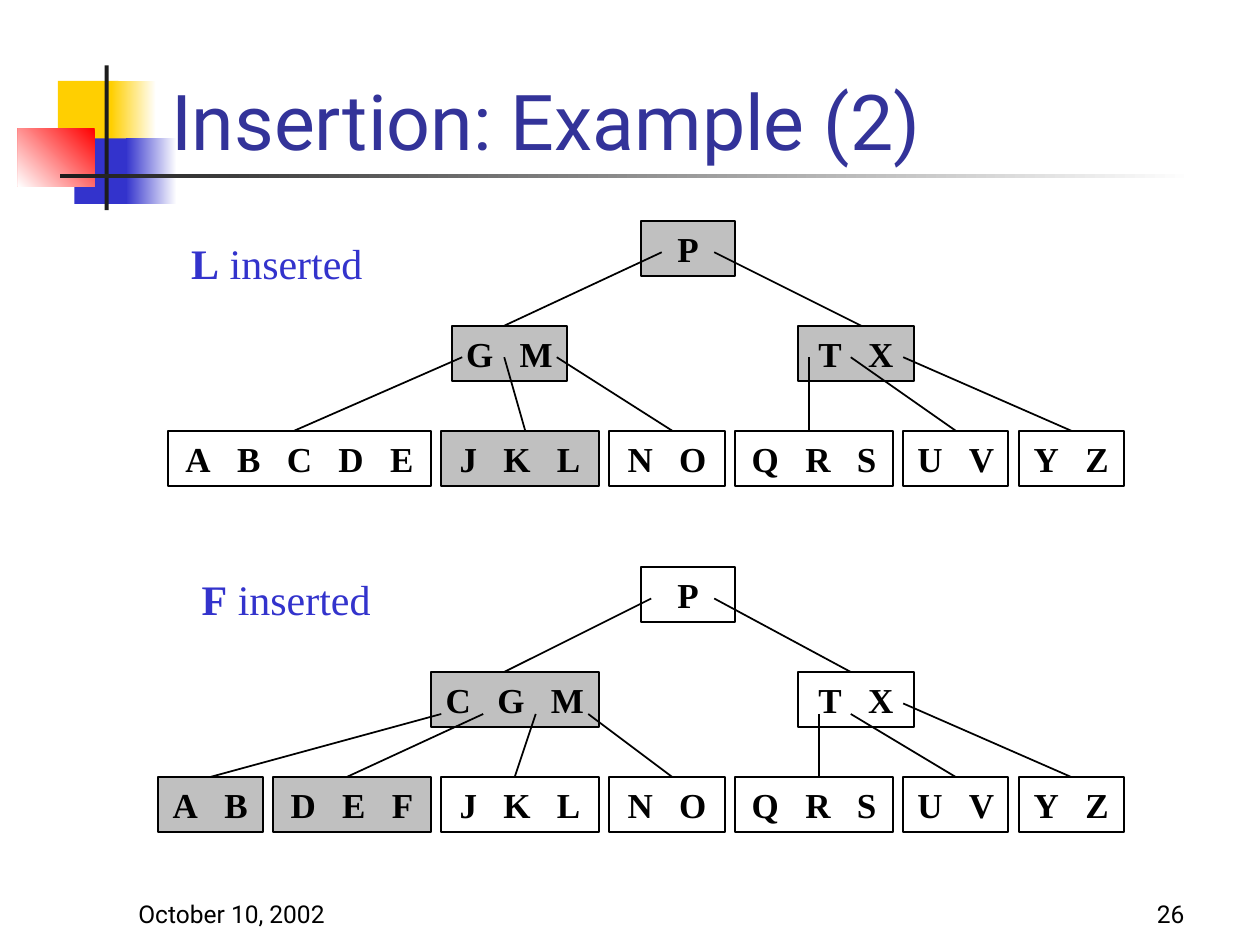
from dataclasses import dataclass

from lxml.etree import SubElement
from pptx import Presentation
from pptx.dml.color import RGBColor as Rgb
from pptx.enum.shapes import MSO_CONNECTOR as Connector, MSO_SHAPE as Shape
from pptx.enum.text import MSO_ANCHOR as Anchor, PP_ALIGN as Align
from pptx.oxml.ns import qn
from pptx.util import Cm, Pt

GRID = 2.54 / 12
NODE_HEIGHT = 5.25
LEVEL_STEP = 10


@dataclass(frozen=True)
class Theme:
    """Colours, fonts and type sizes of the deck."""
    yellow: str = "FFCF01"
    blue: str = "3333CC"
    red: str = "FF0000"
    dark: str = "1C1C1C"
    white: str = "FFFFFF"
    black: str = "000000"
    gray: str = "C0C0C0"
    title: str = "333399"
    sans: str = "Roboto"
    serif: str = "Times New Roman"
    title_size: int = 44
    label_size: int = 24
    key_size: int = 20
    footer_size: int = 14
    key_gap: int = 10


@dataclass(frozen=True)
class Box:
    """A region in centimetres."""
    left: float
    top: float
    width: float
    height: float

    def inner(self, left, top, width, height):
        """Return a box placed relative to this one."""
        return Box(self.left + left, self.top + top, width, height)

    def cell(self, column, row, width, height):
        """Return a box placed relative to this one in grid units."""
        return self.inner(*(GRID * units for units in (column, row, width, height)))

    def lengths(self):
        """Return the four lengths for python-pptx."""
        return [Cm(value) for value in (self.left, self.top, self.width, self.height)]


@dataclass(frozen=True)
class Node:
    """A tree node, with the link (start column, start row, end column) to its parent."""
    keys: str
    column: float
    width: float
    link: tuple = ()
    shaded: bool = False


THEME = Theme()


def add_span(para, text, size, font, color, bold=False):
    """Add one styled run."""
    span = para.add_run()
    span.text = text
    span.font.size, span.font.name, span.font.bold = Pt(size), font, bold
    span.font.color.rgb = Rgb.from_string(color)
    return span


def add_text(page, box, anchor=Anchor.TOP, align=Align.LEFT):
    """Add a wrapping text box and return its paragraph."""
    frame = page.shapes.add_textbox(*box.lengths()).text_frame
    frame.word_wrap, frame.vertical_anchor = True, anchor
    para = frame.paragraphs[0]
    para.alignment = align
    return para


def add_rectangle(page, box, colors=(), angle=180):
    """Add a rectangle with no fill, one colour or a two-colour gradient."""
    rectangle = page.shapes.add_shape(Shape.RECTANGLE, *box.lengths())
    rectangle.shadow.inherit = False
    rectangle.line.fill.background()
    fill = rectangle.fill
    if len(colors) == 2:
        fill.gradient()
        fill.gradient_angle = angle
        for stop, color, position in zip(fill.gradient_stops, colors, (0, 1)):
            stop.color.rgb, stop.position = Rgb.from_string(color), position
    elif colors:
        fill.solid()
        fill.fore_color.rgb = Rgb.from_string(colors[0])
    else:
        fill.background()
    return rectangle


def draw_ornament(page, box):
    """Draw the coloured squares and the crossing rules."""
    for place, colors, angle in (
        ((0.81, 0.31, 1.22, 1.32), (THEME.yellow,), 0),
        ((1.88, 0.31, 0.91, 1.32), (THEME.white, THEME.yellow), 180),
        ((1.14, 1.47, 1.17, 1.32), (THEME.blue,), 0),
        ((2.18, 1.47, 1.02, 1.32), (THEME.white, THEME.blue), 180),
        ((0, 1.27, 1.55, 1.17), (THEME.red, THEME.white), 225),
        ((1.75, 0, 0.08, 2.92), (THEME.dark,), 0),
        ((0.86, 2.19, 22.86, 0.08), (THEME.white, THEME.dark), 180),
    ):
        add_rectangle(page, box.inner(*place), colors, angle)


def draw_title(page, box, text):
    """Write the slide title."""
    para = add_text(page, box, Anchor.BOTTOM)
    add_span(para, text, THEME.title_size, THEME.sans, THEME.title)


def draw_node(page, box, node):
    """Draw one node with its spaced keys."""
    shape = add_rectangle(page, box, (THEME.gray,) if node.shaded else ())
    shape.line.color.rgb, shape.line.width = Rgb.from_string(THEME.black), Pt(1)
    frame = shape.text_frame
    frame.word_wrap, frame.vertical_anchor = True, Anchor.MIDDLE
    para = frame.paragraphs[0]
    para.alignment = Align.CENTER
    style = (THEME.key_size, THEME.serif, THEME.black, True)
    for index, key in enumerate(node.keys):
        if index:
            gap = add_span(para, " ", *style)
            gap._r.get_or_add_rPr().set("spc", str(THEME.key_gap * 100))
        add_span(para, key, *style)
    return shape


def draw_link(page, box, node, shape, row):
    """Draw the line from the parent's key gap to the top of a node."""
    start_column, start_row, end_column = node.link
    start = box.cell(start_column, start_row, 0, 0)
    end = box.cell(end_column, row, 0, 0)
    line = page.shapes.add_connector(
        Connector.STRAIGHT, *start.lengths()[:2], *end.lengths()[:2])
    line.line.color.rgb, line.line.width = Rgb.from_string(THEME.black), Pt(1)
    SubElement(line._element.spPr, qn("a:effectLst"))
    if end_column == node.column + node.width / 2:
        line.end_connect(shape, 0)


def draw_tree(page, box, key, label_cell, levels):
    """Draw a labelled tree, level by level, with links on top."""
    drawn = [
        (node, draw_node(page, box.cell(node.column, depth * LEVEL_STEP,
                                        node.width, NODE_HEIGHT), node), depth)
        for depth, level in enumerate(levels) for node in level]
    para = add_text(page, box.cell(*label_cell, 20, 6))
    add_span(para, key, THEME.label_size, THEME.serif, THEME.blue, True)
    add_span(para, " inserted", THEME.label_size, THEME.serif, THEME.blue)
    for node, shape, depth in drawn:
        if node.link:
            draw_link(page, box, node, shape, depth * LEVEL_STEP)


def draw_footer(page, box, date, number):
    """Write the date at the left and the page number at the right."""
    width = 5.29
    for left, text, align in ((0, date, Align.LEFT),
                              (box.width - width, number, Align.RIGHT)):
        para = add_text(page, box.inner(left, 0, width, box.height), Anchor.BOTTOM, align)
        add_span(para, text, THEME.footer_size, THEME.sans, THEME.black)


def main():
    """Build the slide and save it."""
    deck = Presentation()
    deck.slide_width, deck.slide_height = Cm(25.4), Cm(19.05)
    page = deck.slides.add_slide(deck.slide_layouts[6])
    draw_ornament(page, Box(0.36, 1.32, 23.72, 2.92))
    draw_title(page, Box(3.2, 0.28, 21.64, 3.18), "Insertion: Example (2)")
    shared = [Node("UV", 71, 10, (66, 13, 76)), Node("YZ", 82, 10, (71, 13, 87))]
    draw_tree(page, Box(3.18, 4.45, 19.47, 5.34), "L", (2, 1), (
        [Node("P", 46, 9, shaded=True)],
        [Node("GM", 28, 11, (48, 3, 33), True), Node("TX", 61, 11, (53, 3, 67), True)],
        [Node("ABCDE", 1, 25, (29, 13, 13)), Node("JKL", 27, 15, (33, 13, 35), True),
         Node("NO", 43, 11, (38, 13, 49)), Node("QRS", 55, 15, (62, 13, 62)), *shared]))
    draw_tree(page, Box(3.18, 11.43, 19.47, 5.34), "F", (3, 0), (
        [Node("P", 46, 9)],
        [Node("CGM", 26, 16, (47, 3, 33), True), Node("TX", 61, 11, (53, 3, 66))],
        [Node("AB", 0, 10, (27, 14, 5), True), Node("DEF", 11, 15, (31, 14, 18), True),
         Node("JKL", 27, 15, (36, 14, 34)), Node("NO", 43, 11, (41, 14, 49)),
         Node("QRS", 55, 15, (63, 14, 63)), Node("UV", 71, 10, (66, 14, 76)), shared[1]]))
    draw_footer(page, Box(2.54, 17.58, 21.59, 1.27), "October 10, 2002", "26")
    deck.save("out.pptx")


if __name__ == "__main__":
    main()
